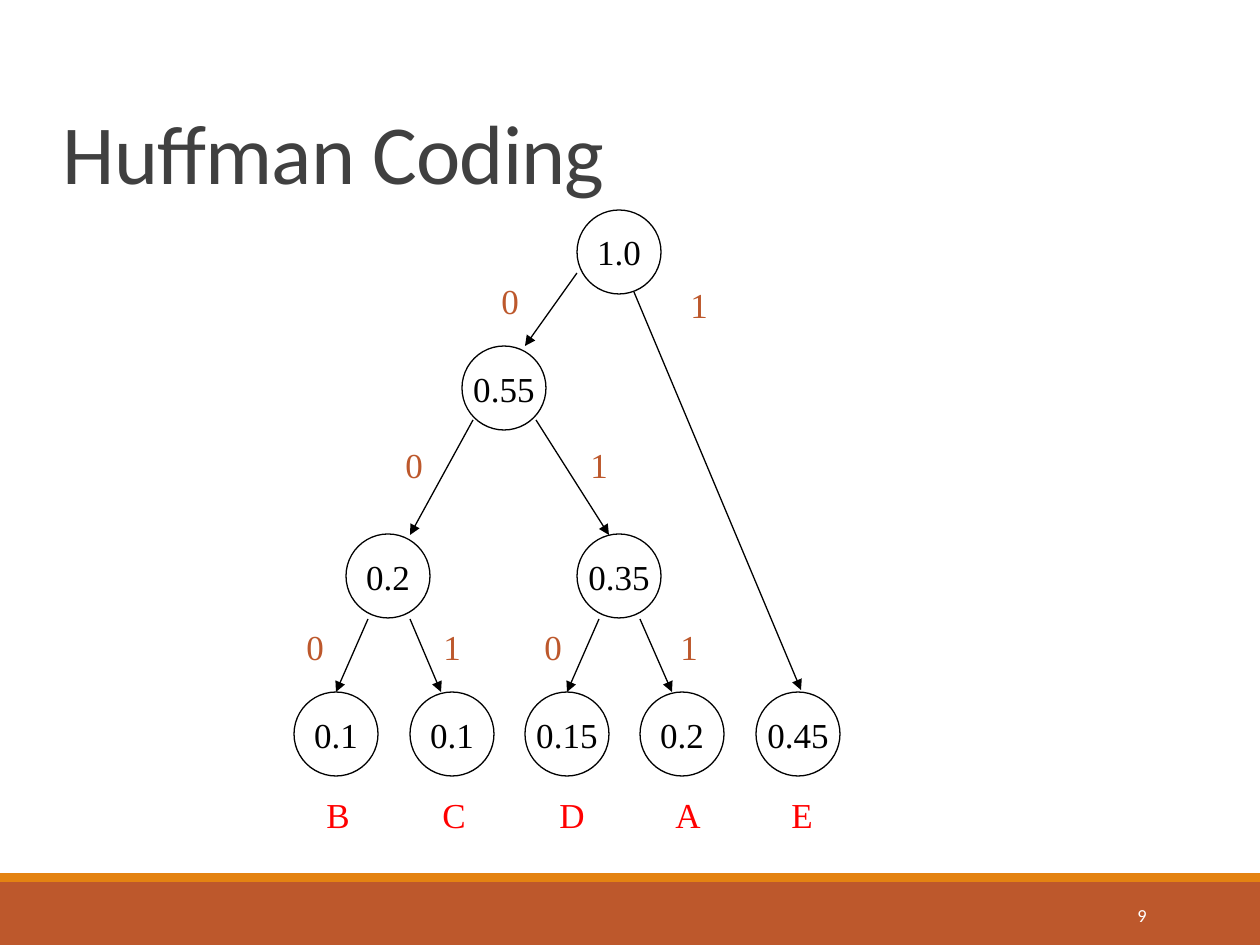
"""Build a slide with a Huffman coding tree."""
import pptx
import pptx.dml.color
import pptx.enum.shapes
import pptx.enum.text
import pptx.oxml
import pptx.oxml.ns
import pptx.util

SCALE = 914400 / 126
KIND = pptx.enum.shapes.MSO_SHAPE
ALIGN = pptx.enum.text.PP_ALIGN
ANCHOR = pptx.enum.text.MSO_ANCHOR
AUTO = pptx.enum.text.MSO_AUTO_SIZE
SERIF = {"name": "Times New Roman", "size": pptx.util.Pt(20)}
SANS = {"name": "Calibri"}


def paint(color, tone):
    color.rgb = pptx.dml.color.RGBColor.from_string(tone)


def write(shape, text, tone, face, align, frame):
    for key, value in frame.items():
        setattr(shape.text_frame, key, value)
    para = shape.text_frame.paragraphs[0]
    para.alignment = align
    run = para.add_run()
    run.text = text
    for key, value in face.items():
        setattr(run.font, key, value)
    paint(run.font.color, tone)
    return run


deck = pptx.Presentation()
deck.slide_width, deck.slide_height = [round(n * SCALE) for n in (1260, 945)]
slide = deck.slides.add_slide(deck.slide_layouts[5])
shapes = slide.shapes

for top, high, tone in [(882, 63, "BD582C"), (873, 9, "E48312")]:
    bar = shapes.add_shape(KIND.RECTANGLE, *[round(n * SCALE) for n in (0, top, 1260, high)])
    bar.shadow.inherit = False
    bar.fill.solid()
    paint(bar.fill.fore_color, tone)
    bar.line.fill.background()

page = shapes.add_textbox(*[round(n * SCALE) for n in (1023, 890, 136, 50)])
write(page, "9", "FFFFFF", SANS | {"size": pptx.util.Pt(10.5)}, ALIGN.RIGHT,
      {"word_wrap": True, "vertical_anchor": ANCHOR.MIDDLE})

title = shapes.title
box = {"left": 50, "top": 8, "width": 1040, "height": 200}
for key, value in box.items():
    setattr(title, key, round(value * SCALE))
run = write(title, "Huffman Coding", "404040", SANS | {"size": pptx.util.Pt(48)}, ALIGN.LEFT,
            {"word_wrap": True, "vertical_anchor": ANCHOR.BOTTOM, "auto_size": AUTO.NONE})
run._r.get_or_add_rPr().set("spc", "-50")
title.text_frame.paragraphs[0].line_spacing = 0.85

nodes = [(577, 210, "1.0"), (462, 346, "0.55"), (346, 534, "0.2"), (577, 534, "0.35")]
leaves = ["0.1", "0.1", "0.15", "0.2", "0.45"]
nodes += [(round(294 + 115.5 * i), 692, text) for i, text in enumerate(leaves)]
for left, top, text in nodes:
    node = shapes.add_shape(KIND.OVAL, *[round(n * SCALE) for n in (left, top, 84, 84)])
    node.shadow.inherit = False
    node.fill.background()
    node.line.width = pptx.util.Pt(0.75)
    paint(node.line.color, "000000")
    write(node, text, "000000", SERIF, ALIGN.CENTER,
          {"word_wrap": False, "vertical_anchor": ANCHOR.MIDDLE})

edges = [
    (577, 273, 525, 346), (634, 292, 801, 690),
    (473, 420, 410, 535), (536, 420, 609, 535),
    (368, 619, 336, 692), (410, 619, 441, 692),
    (599, 619, 567, 692), (640, 619, 672, 692),
]
for edge in edges:
    line = shapes.add_connector(pptx.enum.shapes.MSO_CONNECTOR.STRAIGHT,
                                *[round(n * SCALE) for n in edge])
    line.line.width = pptx.util.Pt(0.75)
    paint(line.line.color, "000000")
    head = pptx.oxml.parse_xml(f'<a:tailEnd {pptx.oxml.ns.nsdecls("a")} type="triangle"/>')
    line.line._get_or_add_ln().append(head)
    line._element.spPr.append(pptx.oxml.parse_xml(f'<a:effectLst {pptx.oxml.ns.nsdecls("a")}/>'))

bits = [
    (489, 273, "0"), (678, 277, "1"), (393, 437, "0"), (578, 437, "1"),
    (294, 619, "0"), (431, 619, "1"), (532, 619, "0"), (668, 619, "1"),
]
marks = [(left, top, 47, text, "BD582C") for left, top, text in bits]
wide = {"B": 53, "C": 53, "D": 55, "A": 55, "E": 50}
marks += [(314 + round(116.3 * i), 787, width, text, "FF0000")
          for i, (text, width) in enumerate(wide.items())]
for left, top, width, text, tone in marks:
    mark = shapes.add_textbox(*[round(n * SCALE) for n in (left, top, width, 63)])
    write(mark, text, tone, SERIF, ALIGN.LEFT,
          {"word_wrap": False, "auto_size": AUTO.SHAPE_TO_FIT_TEXT})

deck.save("out.pptx")
